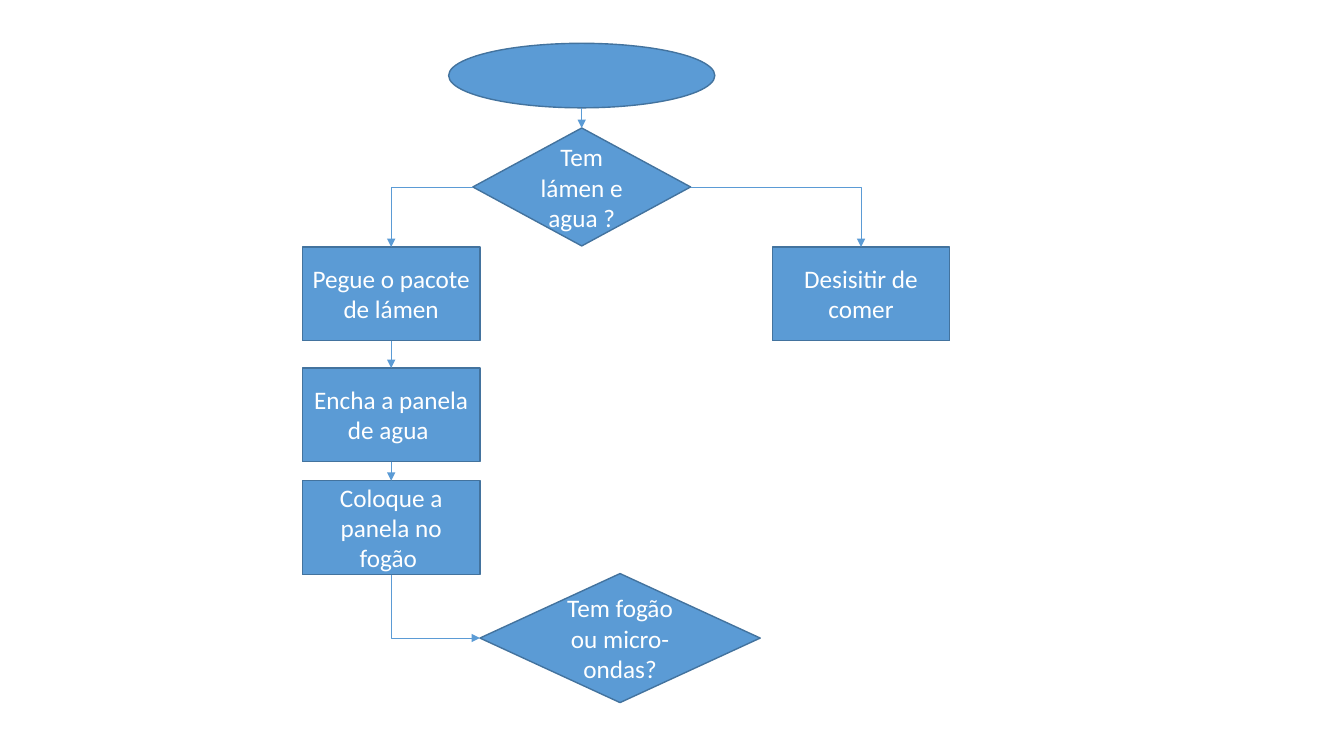
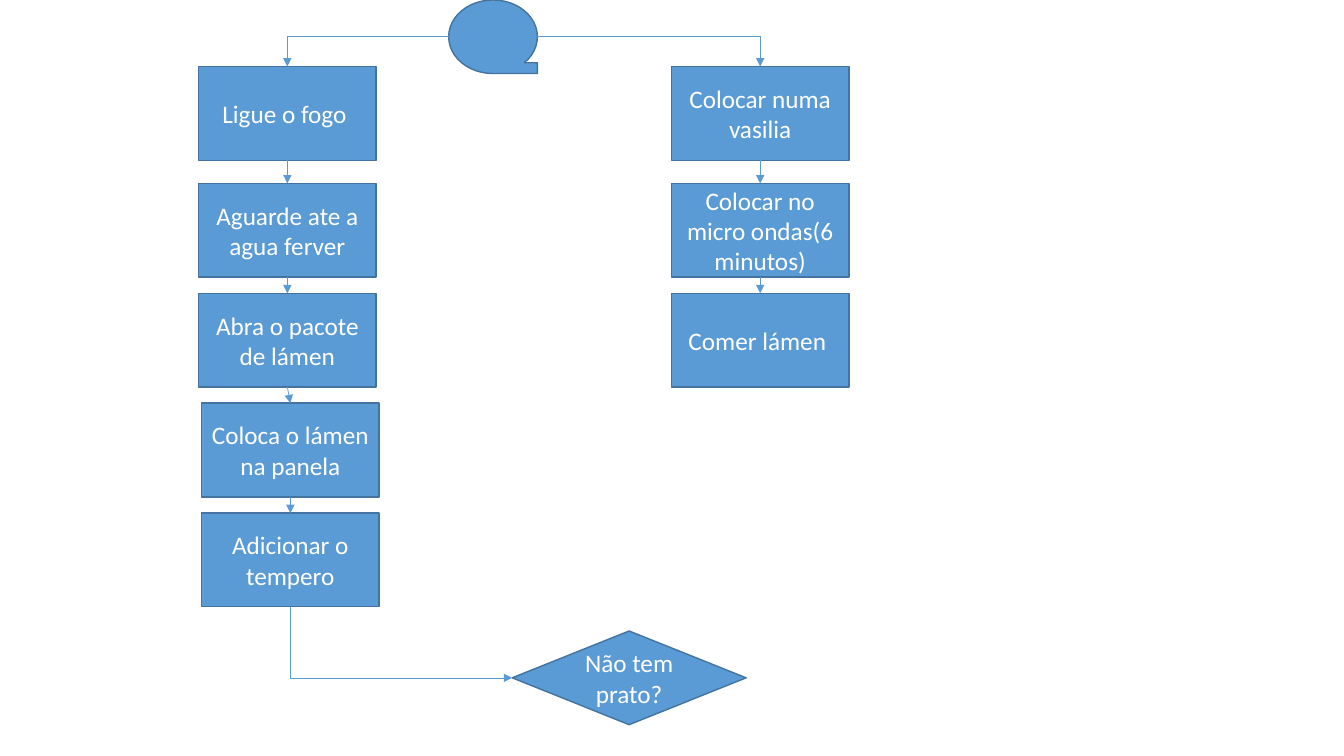
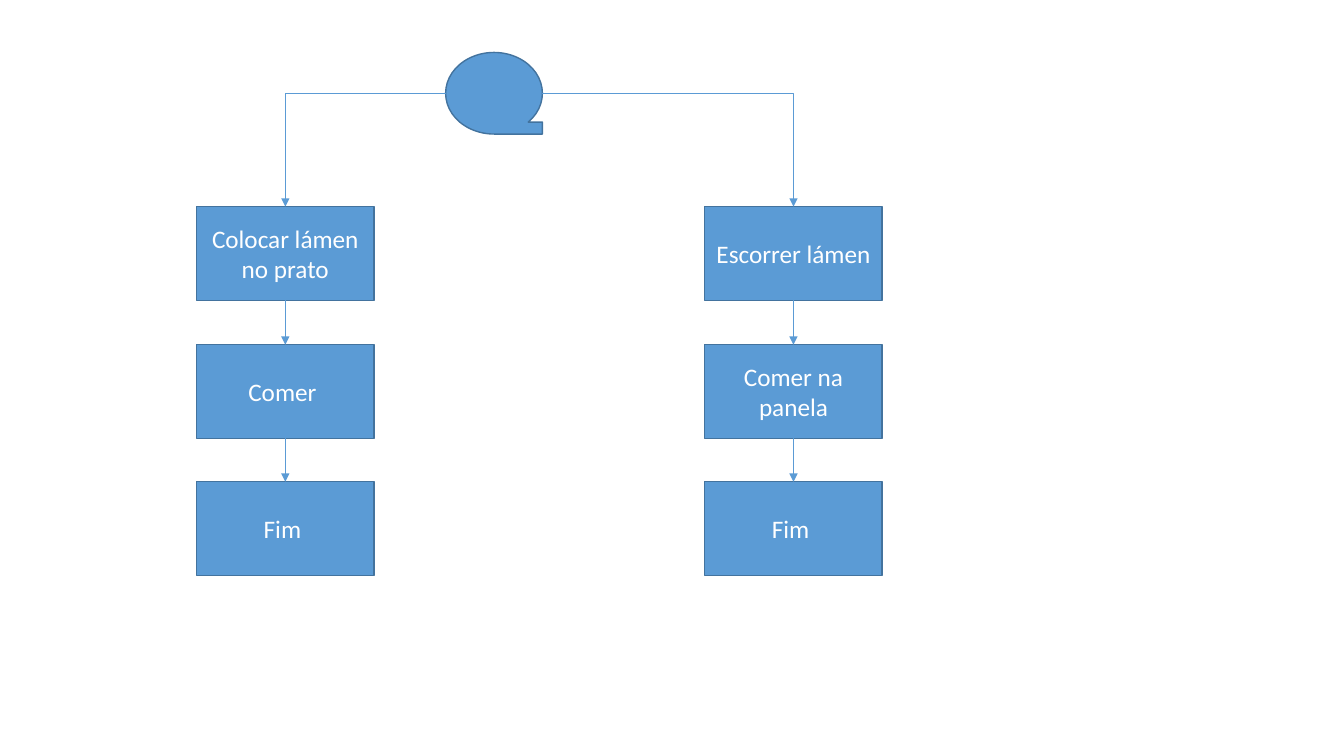
"""Build three flowchart slides about cooking instant noodles."""
from pptx import Presentation
from pptx.dml.color import RGBColor
from pptx.enum.shapes import MSO_CONNECTOR as Wire, MSO_SHAPE as Kind
from pptx.enum.text import MSO_ANCHOR as Anchor, PP_ALIGN as Align
from pptx.oxml.ns import qn
from pptx.util import Emu, Pt
from lxml.etree import SubElement as Sub

PX = 9144
WIDE, HIGH = 1333, 750
BLUE = RGBColor(0x5B, 0x9B, 0xD5)
EDGE = RGBColor(0x43, 0x73, 0x9E)
WHITE = RGBColor(0xFF, 0xFF, 0xFF)
FONT, SIZE = "Calibri", Pt(18)
STEP = (176, 93)
TOP, LEFT, FOOT, RIGHT = range(4)


def px(num):
    """Turn px into EMU."""
    return Emu(num * PX)


def node(page, kind, box, text=""):
    """Draw one flowchart shape with centred text."""
    shape = page.shapes.add_shape(kind, *map(px, box))
    shape.shadow.inherit = False
    shape.fill.solid()
    shape.fill.fore_color.rgb = BLUE
    shape.line.color.rgb = EDGE
    shape.line.width = Pt(1)
    if text:
        frame = shape.text_frame
        frame.word_wrap = True
        frame.vertical_anchor = Anchor.MIDDLE
        par = frame.paragraphs[0]
        par.alignment = Align.CENTER
        run = par.add_run()
        run.text = text
        run.font.name, run.font.size = FONT, SIZE
        run.font.color.rgb = WHITE
    return shape


def port(shape, side):
    """Give the middle point of one side of a shape."""
    mid_x, mid_y = shape.left + shape.width // 2, shape.top + shape.height // 2
    return {
        TOP: (mid_x, shape.top),
        LEFT: (shape.left, mid_y),
        FOOT: (mid_x, shape.top + shape.height),
        RIGHT: (shape.left + shape.width, mid_y),
    }[side]


def link(page, start, end, out=FOOT, into=TOP):
    """Join two shapes with an arrow, bent once if the sides are at right angles."""
    bent = out % 2 != into % 2
    x1, y1 = port(start, out)
    x2, y2 = port(end, into)
    wire = page.shapes.add_connector(
        Wire.ELBOW if bent else Wire.STRAIGHT, x1, y1, x2, y2)
    if start.auto_shape_type != Kind.OVAL:
        wire.begin_connect(start, out)
    wire.end_connect(end, into)
    wire.line.color.rgb = BLUE
    wire.line.width = Pt(0.5)
    props = wire._element.spPr
    if bent:
        props.find(qn("a:prstGeom")).set("prst", "bentConnector2")
    if bent and out == FOOT:
        wide, high = x2 - x1, y2 - y1
        wire.left, wire.top = x1 + (wide - high) // 2, y1 + (high - wide) // 2
        wire.width, wire.height = high, wide
        form = props.find(qn("a:xfrm"))
        form.set("rot", "16200000")
        form.set("flipH", "1")
    Sub(props.find(qn("a:ln")), qn("a:tailEnd")).set("type", "triangle")
    Sub(props, qn("a:effectLst"))


def column(page, x, y, drops, texts):
    """Stack linked steps below a corner, each at its drop, and return them."""
    steps = [node(page, Kind.FLOWCHART_PROCESS, (x, y + drop, *STEP), text)
             for drop, text in zip(drops, texts)]
    for start, end in zip(steps, steps[1:]):
        link(page, start, end)
    return steps


def fork(page, root, left, right):
    """Branch from both sides of a shape to the tops of two steps."""
    link(page, root, left, LEFT)
    link(page, root, right, RIGHT)


def prepare(page):
    """Draw the check for food and the filling of the pan."""
    begin = node(page, Kind.OVAL, (445, 43, 264, 64))
    check = node(page, Kind.FLOWCHART_DECISION, (469, 127, 216, 117),
                 "Tem lámen e agua ?")
    steps = column(page, 300, 245, (0, 120, 232), (
        "Pegue o pacote de lámen", "Encha a panela de agua ",
        "Coloque a panela no fogão "))
    quit_ = column(page, 766, 245, (0,), ("Desisitir de comer",))
    stove = node(page, Kind.FLOWCHART_DECISION, (476, 569, 278, 128),
                 "Tem fogão ou micro-ondas?")
    link(page, begin, check)
    fork(page, check, steps[0], quit_[0])
    link(page, steps[-1], stove, FOOT, LEFT)


def cook(page):
    """Draw the stove and microwave branches."""
    root = node(page, Kind.FLOWCHART_SEQUENTIAL_ACCESS_STORAGE, (445, 0, 88, 73))
    drops = (0, 116, 225)
    stove = column(page, 197, 66, drops, (
        "Ligue o fogo ", "Aguarde ate a agua ferver", "Abra o pacote de lámen"))
    pan = column(page, 200, 400, (0, 109), (
        "Coloca o lámen na panela", "Adicionar o tempero"))
    micro = column(page, 666, 66, drops, (
        "Colocar numa vasilia", "Colocar no micro ondas(6 minutos)",
        "Comer lámen "))
    plate = node(page, Kind.FLOWCHART_DECISION, (508, 626, 232, 93),
                 "Não tem prato?")
    fork(page, root, stove[0], micro[0])
    link(page, stove[-1], pan[0])
    link(page, pan[-1], plate, FOOT, LEFT)


def serve(page):
    """Draw the two ways of eating."""
    root = node(page, Kind.FLOWCHART_SEQUENTIAL_ACCESS_STORAGE, (442, 52, 96, 81))
    drops = (0, 137, 273)
    plate = column(page, 195, 205, drops, (
        "Colocar lámen no prato", "Comer ", "Fim "))
    pan = column(page, 699, 205, drops, (
        "Escorrer lámen", "Comer na panela", "Fim "))
    fork(page, root, plate[0], pan[0])


def main():
    """Build and save the deck."""
    deck = Presentation()
    deck.slide_width, deck.slide_height = px(WIDE), px(HIGH)
    for draw in (prepare, cook, serve):
        draw(deck.slides.add_slide(deck.slide_layouts[6]))
    deck.save("out.pptx")


if __name__ == "__main__":
    main()
